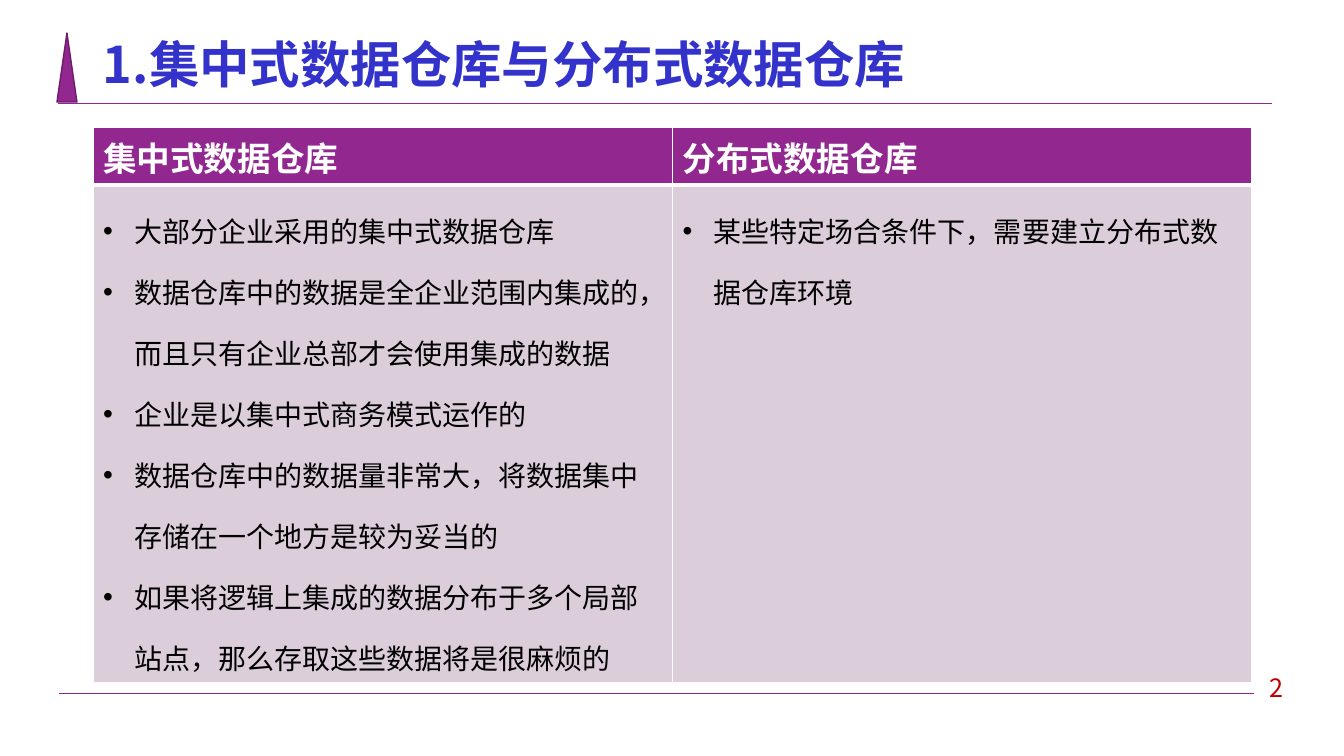
from lxml.etree import SubElement
from pptx import Presentation
from pptx.dml.color import RGBColor
from pptx.enum.shapes import MSO_CONNECTOR as CONNECTOR, MSO_SHAPE as SHAPE
from pptx.enum.text import MSO_ANCHOR as ANCHOR, PP_ALIGN as ALIGN
from pptx.oxml.ns import qn
from pptx.util import Pt

# Content
TITLE = "1.集中式数据仓库与分布式数据仓库"
PAGE_NUMBER = "2"
WAREHOUSES = {
    "集中式数据仓库": [
        "大部分企业采用的集中式数据仓库",
        "数据仓库中的数据是全企业范围内集成的，而且只有企业总部才会使用集成的数据",
        "企业是以集中式商务模式运作的",
        "数据仓库中的数据量非常大，将数据集中存储在一个地方是较为妥当的",
        "如果将逻辑上集成的数据分布于多个局部站点，那么存取这些数据将是很麻烦的",
    ],
    "分布式数据仓库": [
        "某些特定场合条件下，需要建立分布式数据仓库环境",
    ],
}

# Style and layout, lengths in px
FONT = "Noto Sans CJK SC"
PURPLE, DARK_PURPLE, LILAC = "92278F", "6C1D6A", "DCCDDB"
BLUE, RED, BLACK, WHITE = "3333CC", "C00000", "000000", "FFFFFF"
SLIDE_SIZE = 1344, 756
RULES = [(58, 1272, 103), (59, 1254, 693)]
MARKER_BOX = 57, 33, 20, 69
TITLE_BOX = 93, 27, 1159, 80
TABLE_BOX = 93, 127, 1159, 556
PAGE_BOX = 1250, 668, 53, 38
HEADER_HEIGHT = 58
BULLET_INDENT = 31
EMU_PER_PX = 914400 / 100.8


def px(*lengths):
    return [round(length * EMU_PER_PX) for length in lengths]


def color(value):
    return RGBColor.from_string(value)


def add_text(paragraph, text, size, ink, bold=False):
    run = paragraph.add_run()
    run.text = text
    font = run.font
    font.size, font.bold, font.name = Pt(size), bold, FONT
    font.color.rgb = color(ink)
    SubElement(run._r.get_or_add_rPr(), qn("a:ea"), typeface=FONT)


def add_label(box, text, size, ink, bold=False):
    frame = slide.shapes.add_textbox(*px(*box)).text_frame
    frame.word_wrap = True
    frame.vertical_anchor = ANCHOR.MIDDLE
    paragraph = frame.paragraphs[0]
    add_text(paragraph, text, size, ink, bold)
    return paragraph


def add_bullet(paragraph):
    paragraph.line_spacing = 1.5
    indent, = px(BULLET_INDENT)
    properties = paragraph._p.get_or_add_pPr()
    properties.set("marL", str(indent))
    properties.set("indent", str(-indent))
    SubElement(properties, qn("a:buFont"), typeface="Arial")
    SubElement(properties, qn("a:buChar"), char="•")


def style_cell(cell, fill, top, bottom):
    properties = cell._tc.get_or_add_tcPr()
    for side, points in zip("LRTB", (1, 1, top, bottom)):
        border = SubElement(properties, qn(f"a:ln{side}"), w=str(Pt(points)))
        SubElement(SubElement(border, qn("a:solidFill")), qn("a:srgbClr"), val=WHITE)
    cell.fill.solid()
    cell.fill.fore_color.rgb = color(fill)


deck = Presentation()
deck.slide_width, deck.slide_height = px(*SLIDE_SIZE)
slide = deck.slides.add_slide(deck.slide_layouts[6])

# Rules above and below the table
for left, right, y in RULES:
    rule = slide.shapes.add_connector(CONNECTOR.STRAIGHT, *px(left, y, right, y))
    rule.line.color.rgb = color(PURPLE)
    rule.line.width = Pt(0.5)
    SubElement(rule._element.spPr, qn("a:effectLst"))

# Title with its triangular marker
marker = slide.shapes.add_shape(SHAPE.ISOSCELES_TRIANGLE, *px(*MARKER_BOX))
marker.shadow.inherit = False
marker.fill.solid()
marker.fill.fore_color.rgb = color(PURPLE)
marker.line.color.rgb = color(DARK_PURPLE)
marker.line.width = Pt(1)
add_label(TITLE_BOX, TITLE, 36, BLUE, True).line_spacing = 0.9

# Comparison table
comparison = slide.shapes.add_table(2, len(WAREHOUSES), *px(*TABLE_BOX)).table
row_heights = px(HEADER_HEIGHT, TABLE_BOX[3] - HEADER_HEIGHT)
for row, height in zip(comparison.rows, row_heights):
    row.height = height
for column, (heading, points) in enumerate(WAREHOUSES.items()):
    header, body = comparison.cell(0, column), comparison.cell(1, column)
    style_cell(header, PURPLE, top=1, bottom=3)
    add_text(header.text_frame.paragraphs[0], heading, 24, WHITE, True)
    style_cell(body, LILAC, top=3, bottom=1)
    for index, point in enumerate(points):
        frame = body.text_frame
        paragraph = frame.add_paragraph() if index else frame.paragraphs[0]
        add_bullet(paragraph)
        add_text(paragraph, point, 20, BLACK)

# Page number
add_label(PAGE_BOX, PAGE_NUMBER, 18, RED).alignment = ALIGN.CENTER

deck.save("out.pptx")
